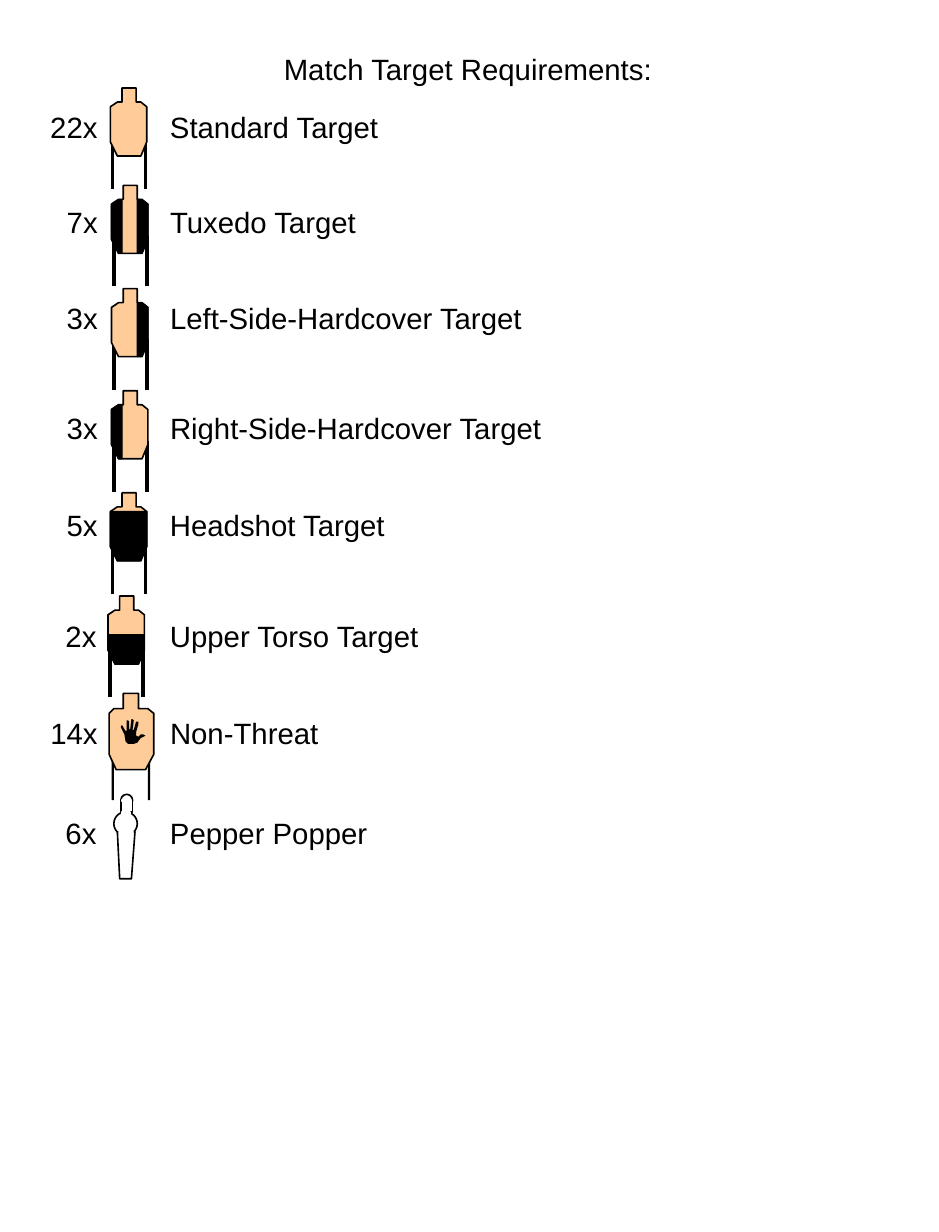
from lxml import etree
from pptx import Presentation
from pptx.dml.color import RGBColor
from pptx.enum.shapes import MSO_CONNECTOR, MSO_SHAPE
from pptx.enum.text import MSO_AUTO_SIZE
from pptx.oxml.ns import qn
from pptx.util import Inches, Pt

STRAIGHT = MSO_CONNECTOR.STRAIGHT
OVAL, RECT = MSO_SHAPE.OVAL, MSO_SHAPE.RECTANGLE
FIT_TEXT = MSO_AUTO_SIZE.SHAPE_TO_FIT_TEXT
BLACK = RGBColor(0x00, 0x00, 0x00)
WHITE = RGBColor(0xFF, 0xFF, 0xFF)
CARDBOARD = RGBColor(0xFF, 0xCC, 0x99)
NON_THREAT = RGBColor(0xFD, 0xCC, 0x99)

INSET = 0.1
NAME_X = 1.45

# Outlines in inches from the top left corner of a target
BODY = [(0.1, 0), (0.22, 0), (0.22, 0.12), (0.26, 0.12), (0.31, 0.16), (0.31, 0.46),
        (0.26, 0.58), (0.06, 0.58), (0, 0.46), (0, 0.16), (0.06, 0.12), (0.1, 0.12)]
RIGHT_SIDE = [(0.22, 0.12), (0.22, 0.58), (0.25, 0.58), (0.31, 0.46), (0.31, 0.16), (0.25, 0.12)]
LEFT_SIDE = [(0.31 - x, y) for x, y in RIGHT_SIDE]
LOWER_EDGE = [(0.31, 0.46), (0.25, 0.58), (0.06, 0.58), (0, 0.46)]
BELOW_HEAD = [(0, 0.16), (0.31, 0.16)] + LOWER_EDGE
BELOW_CHEST = [(0, 0.33), (0.31, 0.33)] + LOWER_EDGE

NON_THREAT_BODY = [(0.12, 0), (0.25, 0), (0.25, 0.13), (0.33, 0.13), (0.38, 0.17), (0.38, 0.52),
                   (0.31, 0.65), (0.06, 0.65), (0, 0.52), (0, 0.17), (0.04, 0.13), (0.12, 0.13)]
HAND = [(0.24, 0.42), (0.21, 0.43), (0.16, 0.43), (0.14, 0.41), (0.13, 0.35), (0.12, 0.33),
        (0.1, 0.29), (0.1, 0.28), (0.11, 0.27), (0.14, 0.32), (0.15, 0.32), (0.15, 0.23),
        (0.16, 0.23), (0.17, 0.24), (0.17, 0.31), (0.18, 0.3), (0.19, 0.22), (0.2, 0.22),
        (0.21, 0.23), (0.2, 0.31), (0.21, 0.31), (0.23, 0.24), (0.25, 0.24), (0.25, 0.26),
        (0.23, 0.33), (0.23, 0.36), (0.25, 0.37), (0.27, 0.35), (0.29, 0.35), (0.31, 0.36),
        (0.27, 0.38)]

# count, name, text left, text top, text width
ROWS = [
    ("22x", "Standard Target", 0.33, 0.88, 3.17),
    ("7x", "Tuxedo Target", 0.47, 1.69, 2.75),
    ("3x", "Left-Side-Hardcover Target", 0.47, 2.51, 4.18),
    ("3x", "Right-Side-Hardcover Target", 0.47, 3.45, 4.35),
    ("5x", "Headshot Target", 0.47, 4.27, 3),
    ("2x", "Upper Torso Target", 0.46, 5.22, 3.3),
    ("14x", "Non-Threat", 0.33, 6.05, 2.58),
    ("6x", "Pepper Popper", 0.46, 6.9, 2.86),
]

# left, top, black areas
TARGETS = [
    (0.94, 0.75, []),
    (0.95, 1.58, [RIGHT_SIDE, LEFT_SIDE]),
    (0.95, 2.46, [RIGHT_SIDE]),
    (0.95, 3.33, [LEFT_SIDE]),
    (0.94, 4.2, [BELOW_HEAD]),
    (0.92, 5.08, [BELOW_CHEST]),
]

# kind, left, top, width, height, outline colour
POPPER_TOP = [
    (OVAL, 1.03, 6.77, 0.1, 0.1, BLACK),
    (OVAL, 0.97, 6.92, 0.2, 0.2, BLACK),
]
POPPER_STEM = [(1, 7.09), (1.15, 7.09), (1.12, 7.49), (1.02, 7.49)]
POPPER_JOINTS = [
    (RECT, 1.03, 6.82, 0.1, 0.1, BLACK),
    (RECT, 1.01, 7.08, 0.13, 0.02, None),
    (RECT, 1.04, 6.92, 0.07, 0.02, WHITE),
    (RECT, 1.04, 6.82, 0.08, 0.01, WHITE),
]


def paint(sp, fill, line=None, weight=1):
    sp.shadow.inherit = False
    sp.fill.solid()
    sp.fill.fore_color.rgb = fill
    if line is None:
        sp.line.fill.background()
    else:
        sp.line.color.rgb = line
        sp.line.width = Pt(weight)


def add_outline(shapes, points, left, top, fill, line=None, weight=1):
    pts = [(Inches(left + x), Inches(top + y)) for x, y in points]
    builder = shapes.build_freeform(*pts[0])
    builder.add_line_segments(pts[1:], close=True)
    paint(builder.convert_to_shape(), fill, line, weight)


def add_preset(shapes, kind, left, top, width, height, fill, line=None):
    sp = shapes.add_shape(kind, Inches(left), Inches(top), Inches(width), Inches(height))
    paint(sp, fill, line)


def add_post(shapes, x, top, bottom):
    post = shapes.add_connector(STRAIGHT, Inches(x), Inches(top), Inches(x), Inches(bottom))
    post.line.color.rgb = BLACK
    post.line.width = Pt(2.25)
    etree.SubElement(post._element.spPr, qn("a:effectLst"))


def add_text(s, text, left, top, width, wrap, tab=None):
    """Add one line of text, with an optional tab stop in inches."""
    tf = s.shapes.add_textbox(Inches(left), Inches(top), Inches(width), Inches(0.4)).text_frame
    tf.word_wrap = wrap
    tf.auto_size = FIT_TEXT
    p = tf.paragraphs[0]
    p.text = text
    if tab is not None:
        tabs = etree.SubElement(p._p.get_or_add_pPr(), qn("a:tabLst"))
        etree.SubElement(tabs, qn("a:tab"), pos=str(Inches(tab)), algn="l")
    p.font.name = "Arial"
    p.font.size = Pt(18)
    p.font.color.rgb = BLACK


def add_target(s, left, top, black_areas):
    shapes = s.shapes.add_group_shape().shapes
    for x in (0.02, 0.3):
        add_post(shapes, left + x, top + 0.43, top + 0.86)
    add_outline(shapes, BODY, left, top, CARDBOARD, BLACK)
    for area in black_areas:
        add_outline(shapes, area, left, top, BLACK, BLACK, 0)


def add_non_threat(s, left, top):
    shapes = s.shapes.add_group_shape().shapes
    for x in (0.02, 0.33):
        add_preset(shapes, RECT, left + x, top + 0.48, 0.02, 0.43, BLACK)
    add_outline(shapes, NON_THREAT_BODY, left, top, NON_THREAT, BLACK)
    add_outline(shapes, HAND, left, top, BLACK)


def add_popper(s):
    shapes = s.shapes.add_group_shape().shapes
    for *place, line in POPPER_TOP:
        add_preset(shapes, *place, WHITE, line)
    add_outline(shapes, POPPER_STEM, 0, 0, WHITE, BLACK)
    for *place, line in POPPER_JOINTS:
        add_preset(shapes, *place, WHITE, line)


def main():
    prs = Presentation()
    prs.slide_width, prs.slide_height = Inches(8), Inches(10.5)
    s = prs.slides.add_slide(prs.slide_layouts[6])

    add_text(s, "Match Target Requirements:", 2.32, 0.39, 3.37, wrap=False)
    for count, name, left, top, width in ROWS:
        add_text(s, f"{count}\t{name}", left, top, width, wrap=True, tab=NAME_X - left - INSET)
    for left, top, black_areas in TARGETS:
        add_target(s, left, top, black_areas)
    add_non_threat(s, 0.93, 5.91)
    add_popper(s)

    prs.save("out.pptx")


if __name__ == "__main__":
    main()
